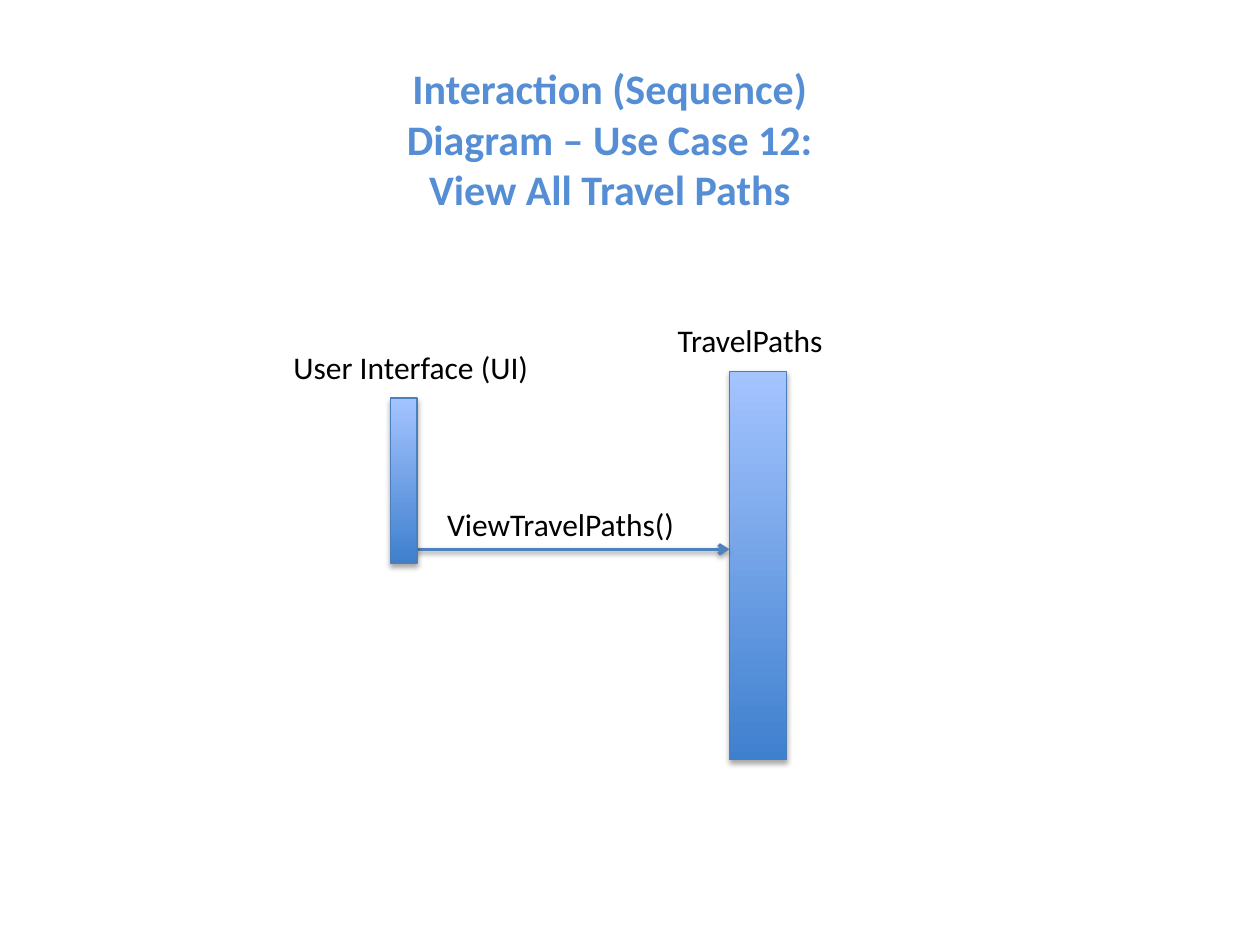
from lxml import etree
from pptx import Presentation
from pptx.dml.color import RGBColor
from pptx.enum import shapes, text
from pptx.oxml import parse_xml
from pptx.oxml.ns import nsdecls, qn
from pptx.util import Inches, Pt

TITLE_BLUE = RGBColor(0x55, 0x8E, 0xD5)
BAR_DARK = RGBColor(0x3F, 0x80, 0xCE)
BAR_LIGHT = RGBColor(0xA4, 0xC4, 0xFF)
BAR_EDGE = RGBColor(0x4B, 0x7E, 0xBC)
ARROW_BLUE = RGBColor(0x4F, 0x81, 0xBD)
BLACK = RGBColor(0, 0, 0)


def add_shadow(part, distance, opacity):
    """Give a shape or connector a soft shadow straight below it."""
    part._element.spPr.append(parse_xml(
        f'<a:effectLst {nsdecls("a")}>'
        f'<a:outerShdw blurRad="{Pt(3.1)}" dist="{Pt(distance)}" dir="5400000" rotWithShape="0">'
        f'<a:srgbClr val="000000"><a:alpha val="{opacity * 1000}"/></a:srgbClr>'
        '</a:outerShdw></a:effectLst>'))


def add_text(slide, box, wording, size=18, color=BLACK, bold=False, wrap=False,
             align=text.PP_ALIGN.LEFT):
    """Place one paragraph of text in the given box."""
    frame = slide.shapes.add_textbox(*map(Inches, box)).text_frame
    frame.word_wrap = wrap
    frame.auto_size = text.MSO_AUTO_SIZE.SHAPE_TO_FIT_TEXT
    frame.text = wording
    paragraph = frame.paragraphs[0]
    paragraph.alignment = align
    font = paragraph.runs[0].font
    font.name, font.size, font.bold = "Calibri", Pt(size), bold
    font.color.rgb = color


def add_lifeline(slide, box, name, name_left, name_width):
    """Draw an activation bar with its participant name above it."""
    bar = slide.shapes.add_shape(shapes.MSO_SHAPE.RECTANGLE, *map(Inches, box))
    bar.fill.gradient()
    bar.fill.gradient_angle = 90
    for stop, color in zip(bar.fill.gradient_stops, (BAR_DARK, BAR_LIGHT)):
        stop.color.rgb = color
    bar.line.color.rgb = BAR_EDGE
    bar.line.width = Pt(0.75)
    add_shadow(bar, 1.8, 35)
    add_text(slide, (name_left, box[1] - 0.45, name_width, 0.4), name)


def add_message(slide, start, end, level, call):
    """Draw a message arrow between two lifelines with its call above it."""
    arrow = slide.shapes.add_connector(
        shapes.MSO_CONNECTOR.STRAIGHT, *map(Inches, (start, level, end, level)))
    arrow.line.color.rgb = ARROW_BLUE
    arrow.line.width = Pt(2)
    etree.SubElement(arrow.line._get_or_add_ln(), qn("a:tailEnd"), type="arrow")
    add_shadow(arrow, 1.6, 38)
    add_text(slide, (start + 0.15, level - 0.4, 2.06, 0.4), call)


def main():
    """Build the sequence diagram slide."""
    deck = Presentation()
    deck.slide_width, deck.slide_height = Inches(10), Inches(7.5)
    slide = deck.slides.add_slide(deck.slide_layouts[6])
    add_text(slide, (2.91, 0.45, 3.86, 1.31),
             "Interaction (Sequence) Diagram – Use Case 12: View All Travel Paths",
             24, TITLE_BLUE, True, True, text.PP_ALIGN.CENTER)
    add_lifeline(slide, (5.79, 2.95, 0.45, 3.08), "TravelPaths", 5.28, 1.4)
    add_message(slide, 3.3, 5.79, 4.36, "ViewTravelPaths()")
    add_lifeline(slide, (3.1, 3.16, 0.21, 1.31), "User Interface (UI)", 2.23, 2.09)
    deck.save("out.pptx")


if __name__ == "__main__":
    main()
